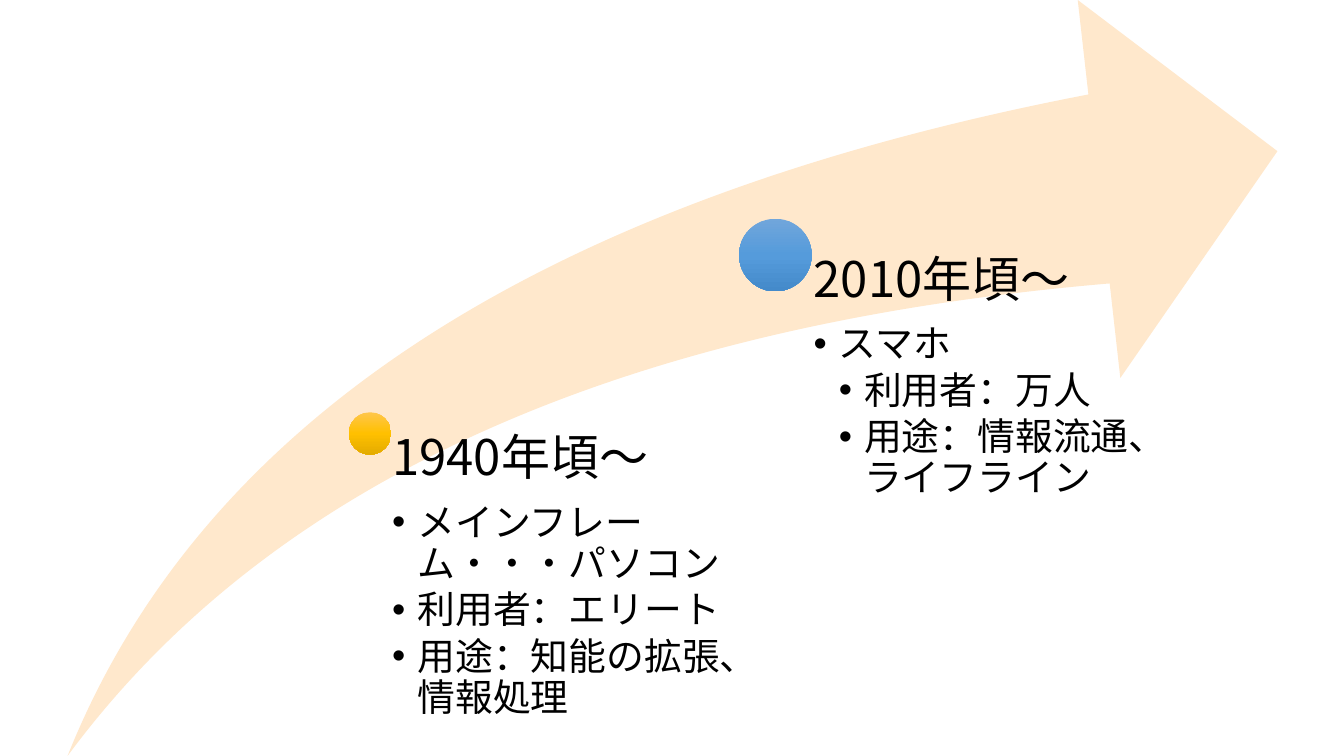
from copy import deepcopy

from lxml.etree import SubElement
from pptx import Presentation
from pptx.dml.color import RGBColor
from pptx.enum.shapes import MSO_SHAPE as SHAPE
from pptx.enum.text import MSO_ANCHOR, MSO_AUTO_SIZE, PP_ALIGN
from pptx.oxml.ns import qn
from pptx.util import Inches, Pt

# Style
FONT = "Noto Sans CJK JP"
BLACK = RGBColor(0x00, 0x00, 0x00)
PEACH = RGBColor(0xFF, 0xE8, 0xCC)
YELLOWS = [RGBColor(0xFF, 0xC6, 0x4B), RGBColor(0xFF, 0xC0, 0x00), RGBColor(0xE3, 0xAB, 0x00)]
BLUES = [RGBColor(0x71, 0xA6, 0xDB), RGBColor(0x55, 0x9B, 0xDB), RGBColor(0x44, 0x8A, 0xCA)]
HEADING_SIZE, ITEM_SIZE = 35, 27
INDENT = 0.25

# Each era: dot, text box, left inset, heading and (level, item) pairs
ERAS = [
    dict(dot=(3.46, 4.09, 0.42), colors=YELLOWS, box=(3.67, 4.3, 3.9, 3.2), inset=0.22,
         heading="1940年頃～",
         items=[(1, "メインフレーム・・・パソコン"), (1, "利用者：エリート"),
                (1, "用途：知能の拡張、情報処理")]),
    dict(dot=(7.33, 2.17, 0.72), colors=BLUES, box=(7.69, 2.53, 3.9, 4.96), inset=0.38,
         heading="2010年頃～",
         items=[(1, "スマホ"), (2, "利用者：万人"), (2, "用途：情報流通、ライフライン")]),
]


def set_all(obj, values):
    for name, value in values.items():
        setattr(obj, name, value)


class Deck:
    def __init__(self):
        self.prs = Presentation()
        set_all(self.prs, dict(slide_width=Inches(13.33), slide_height=Inches(7.5)))
        self.s = self.prs.slides.add_slide(self.prs.slide_layouts[3])
        title, *self.bodies = self.s.placeholders
        title.element.getparent().remove(title.element)

    def shape(self, kind, x, y, w, h):
        sp = self.s.shapes.add_shape(kind, Inches(x), Inches(y), Inches(w), Inches(h))
        sp.shadow.inherit = False
        sp.line.fill.background()
        return sp

    def arrow(self, x, y, w, h):
        sp = self.shape(SHAPE.SWOOSH_ARROW, x, y, w, h)
        sp.adjustments[0] = sp.adjustments[1] = 0.25
        sp.fill.solid()
        sp.fill.fore_color.rgb = PEACH

    def dot(self, x, y, size, colors):
        sp = self.shape(SHAPE.OVAL, x, y, size, size)
        sp.fill.gradient()
        sp.fill.gradient_angle = 270
        stops = sp.element.spPr.find(qn("a:gradFill")).find(qn("a:gsLst"))
        stops.insert(1, deepcopy(stops[0]))
        for i, (stop, color) in enumerate(zip(sp.fill.gradient_stops, colors)):
            stop.position = i / 2
            stop.color.rgb = color

    def era_text(self, body, box, inset, heading, items):
        left, top, width, height = map(Inches, box)
        set_all(body, dict(left=left, top=top, width=width, height=height))
        self.s.shapes.element.append(body.element)  # bring to front
        tf = body.text_frame
        set_all(tf, dict(margin_left=Inches(inset), margin_top=0, margin_right=0,
                         margin_bottom=0, word_wrap=True, vertical_anchor=MSO_ANCHOR.TOP,
                         auto_size=MSO_AUTO_SIZE.NONE))
        self.paragraph(tf.paragraphs[0], 0, heading, HEADING_SIZE, 0.35)
        for level, item in items:
            self.paragraph(tf.add_paragraph(), level, item, ITEM_SIZE, 0.15)

    def paragraph(self, p, level, text, size, gap):
        set_all(p, dict(level=level, alignment=PP_ALIGN.LEFT, line_spacing=0.9,
                        space_before=Pt(0), space_after=Pt(size * gap)))
        pPr = p._p.get_or_add_pPr()
        pPr.set("marL", str(Inches(INDENT * level)))
        pPr.set("indent", str(-Inches(INDENT) if level else 0))
        if level:
            SubElement(pPr, qn("a:buChar")).set("char", "•")
        else:
            SubElement(pPr, qn("a:buNone"))
        r = p.add_run()
        r.text = text
        set_all(r.font, dict(size=Pt(size), name=FONT))
        r.font.color.rgb = BLACK
        SubElement(r.font._element, qn("a:ea")).set("typeface", FONT)


def main():
    deck = Deck()
    # Rising arrow
    deck.arrow(0.67, 0, 12, 7.5)
    # Eras along the arrow
    for body, era in zip(deck.bodies, ERAS):
        deck.dot(*era["dot"], era["colors"])
        deck.era_text(body, era["box"], era["inset"], era["heading"], era["items"])
    deck.prs.save("out.pptx")


if __name__ == "__main__":
    main()
